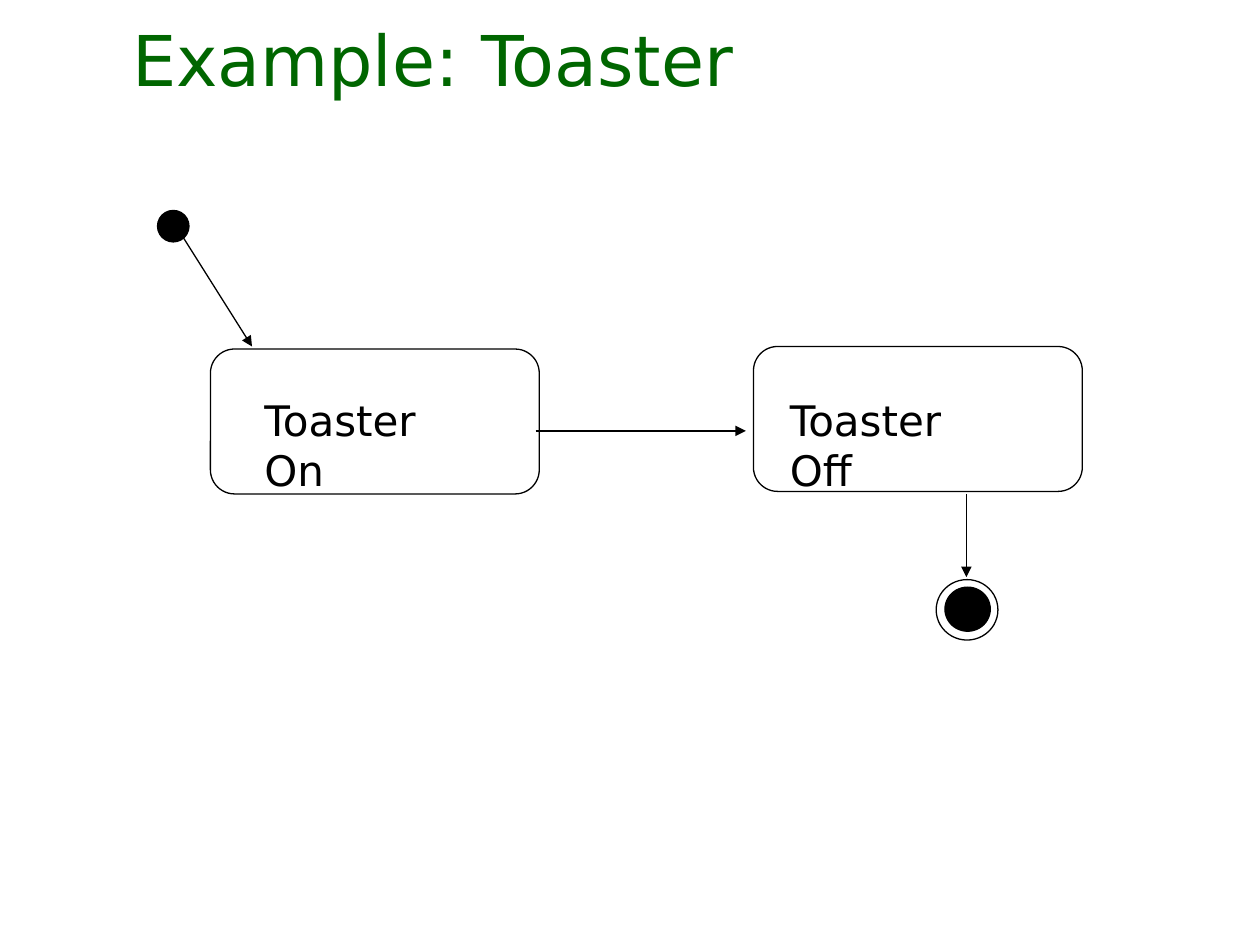
from lxml.etree import SubElement
from pptx import Presentation
from pptx.dml.color import RGBColor
from pptx.enum.shapes import MSO_CONNECTOR, MSO_SHAPE
from pptx.enum.text import MSO_ANCHOR, MSO_AUTO_SIZE
from pptx.oxml.ns import qn
from pptx.util import Inches, Pt

COLORS = {"title": "006600", "ink": "000000"}
FONT = "DejaVu Sans"
HAIRLINE = 0
THIN = 0.75


def write_text(frame, text, size=24, color="ink", anchor=MSO_ANCHOR.TOP):
    frame.word_wrap = True
    frame.auto_size = MSO_AUTO_SIZE.SHAPE_TO_FIT_TEXT
    frame.vertical_anchor = anchor
    span = frame.paragraphs[0].add_run()
    span.text = text
    span.font.name = FONT
    span.font.size = Pt(size)
    span.font.color.rgb = RGBColor.from_string(COLORS[color])


class StateDiagram:
    """Holds the page and the drawing style of the diagram."""

    def __init__(self, page):
        self.page = page
        self.ink = RGBColor.from_string(COLORS["ink"])

    def text(self, text, left, top, width, height, **style):
        box = self.page.shapes.add_textbox(
            Inches(left), Inches(top), Inches(width), Inches(height))
        write_text(box.text_frame, text, **style)

    def shape(self, kind, left, top, width, height, filled=False, weight=HAIRLINE):
        shape = self.page.shapes.add_shape(
            kind, Inches(left), Inches(top), Inches(width), Inches(height))
        shape.shadow.inherit = False
        if filled:
            shape.fill.solid()
            shape.fill.fore_color.rgb = self.ink
        else:
            shape.fill.background()
        shape.line.color.rgb = self.ink
        shape.line.width = Pt(weight)
        return shape

    def state(self, left, top):
        self.shape(MSO_SHAPE.ROUNDED_RECTANGLE, left, top, 2.61, 1.15)

    def circle(self, left, top, width, height, **style):
        self.shape(MSO_SHAPE.OVAL, left, top, width, height, **style)

    def arrow(self, start, end):
        line = self.page.shapes.add_connector(
            MSO_CONNECTOR.STRAIGHT, *map(Inches, start + end))
        line.line.color.rgb = self.ink
        line.line.width = Pt(THIN)
        properties = line._element.spPr
        SubElement(properties.find(qn("a:ln")), qn("a:tailEnd"), type="triangle")
        SubElement(properties, qn("a:effectLst"))


def main():
    deck = Presentation()
    deck.slide_width, deck.slide_height = Inches(10), Inches(7.5)
    diagram = StateDiagram(deck.slides.add_slide(deck.slide_layouts[6]))

    # Title
    diagram.text("Example: Toaster", 0.95, 0.08, 8.93, 0.77,
                 size=40, color="title", anchor=MSO_ANCHOR.BOTTOM)

    # States and their labels
    diagram.state(1.67, 2.77)
    diagram.state(5.98, 2.75)
    for label, left in (("Toaster On", 2), ("Toaster Off", 6.17)):
        diagram.text(label, left, 3.08, 1.83, 0.4)

    # Transition between the states
    diagram.arrow((4.25, 3.42), (5.92, 3.42))

    # Start marker
    diagram.arrow((1.42, 1.83), (2, 2.75))
    diagram.circle(1.25, 1.67, 0.25, 0.25, filled=True, weight=THIN)

    # End marker
    diagram.arrow((7.67, 3.92), (7.67, 4.58))
    diagram.circle(7.43, 4.6, 0.49, 0.48)
    diagram.circle(7.5, 4.66, 0.36, 0.35, filled=True)

    deck.save("out.pptx")


if __name__ == "__main__":
    main()
